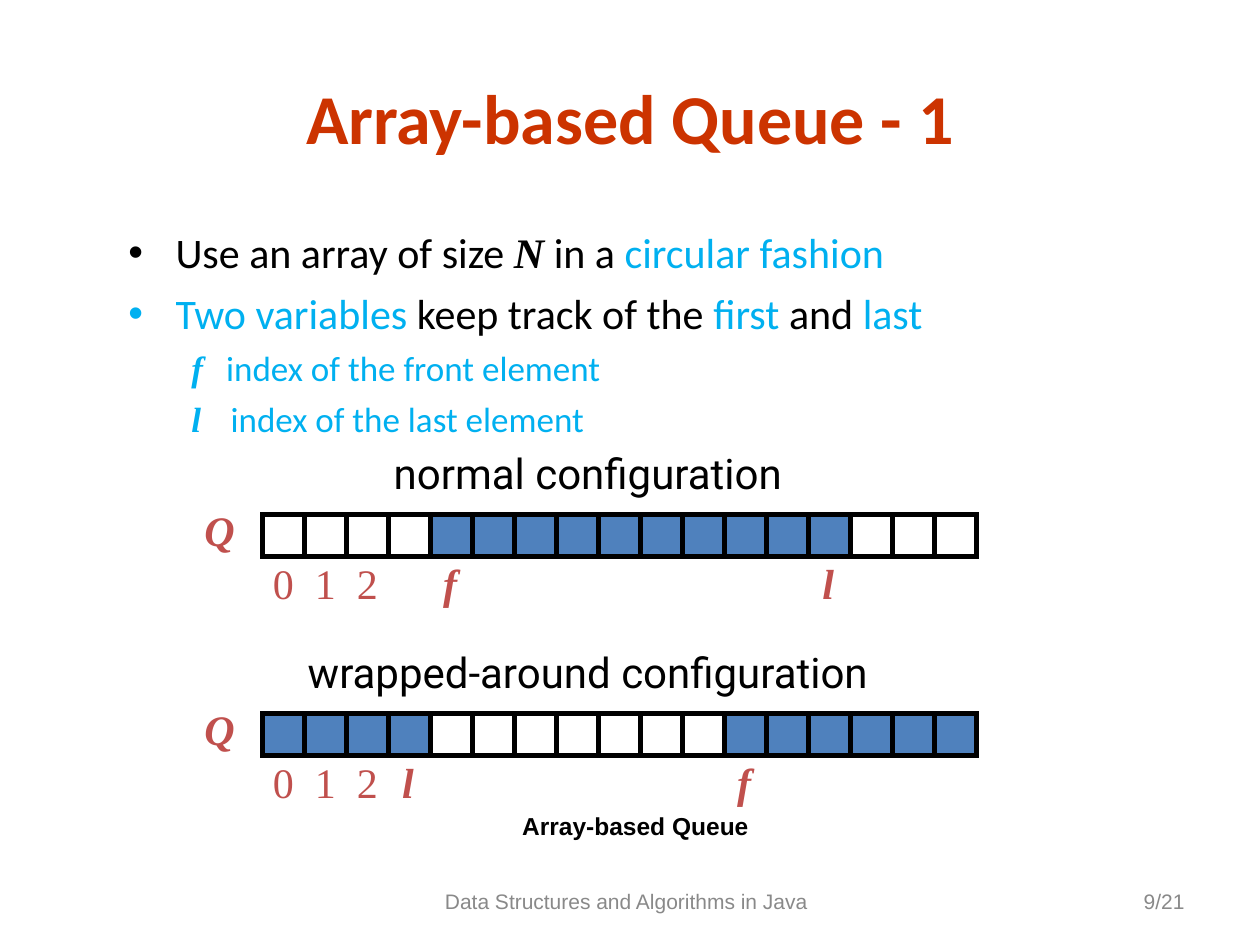
"""Builds the slide on the array-based queue."""
from pptx import Presentation
from pptx.dml.color import RGBColor
from pptx.enum.shapes import MSO_SHAPE
from pptx.enum.text import MSO_ANCHOR, PP_ALIGN
from pptx.oxml.ns import qn
from pptx.util import Cm, Pt
from lxml import etree

RECT = MSO_SHAPE.RECTANGLE
TOP, MIDDLE = MSO_ANCHOR.TOP, MSO_ANCHOR.MIDDLE
CENTER, RIGHT = PP_ALIGN.CENTER, PP_ALIGN.RIGHT

BLACK = RGBColor(0x00, 0x00, 0x00)
WHITE = RGBColor(0xFF, 0xFF, 0xFF)
GRAY = RGBColor(0x89, 0x89, 0x89)
ORANGE = RGBColor(0xCC, 0x33, 0x00)
CYAN = RGBColor(0x00, 0xB0, 0xF0)
RED = RGBColor(0xC0, 0x50, 0x4D)
BLUE = RGBColor(0x4F, 0x81, 0xBD)

SANS, SERIF, ARIAL, ROBOTO = "Calibri", "Times New Roman", "Arial", "Roboto"
COUNT = 17
CELL = 14.4 / COUNT
START = 5.29


class Deck:
    def __init__(self):
        self.file = Presentation()
        self.file.slide_width, self.file.slide_height = Cm(25.4), Cm(19.05)
        self.slide = self.file.slides.add_slide(self.file.slide_layouts[6])

    def frame(self, x, y, w, h, pad=True, anchor=TOP):
        box = self.slide.shapes.add_textbox(Cm(x), Cm(y), Cm(w), Cm(h))
        frame = box.text_frame
        frame.word_wrap = True
        frame.vertical_anchor = anchor
        if not pad:
            frame.margin_left = frame.margin_right = 0
            frame.margin_top = frame.margin_bottom = 0
        return frame

    def style(self, font, face, size, color, bold=False, italic=False):
        font.name, font.size = face, Pt(size)
        font.color.rgb = color
        font.bold, font.italic = bold, italic

    def text(self, area, words, face, size, color, bold=False, italic=False,
             align=CENTER, anchor=TOP, pad=True):
        para = self.frame(*area, pad, anchor).paragraphs[0]
        para.alignment = align
        para.add_run().text = words
        self.style(para.font, face, size, color, bold, italic)

    def item(self, para, parts, size, left, hang, space, bullet=False):
        props = para._p.get_or_add_pPr()
        props.set("marL", str(Cm(left)))
        props.set("indent", str(-Cm(hang)))
        para.space_before = Pt(space)
        if bullet:
            etree.SubElement(props, qn("a:buFont")).set("typeface", ARIAL)
            etree.SubElement(props, qn("a:buChar")).set("char", "•")
        para.font.size = Pt(size)
        for words, color, math in parts:
            run = para.add_run()
            run.text = words
            self.style(run.font, SERIF if math else SANS, size, color, math, math)

    def body(self, area, items):
        frame = self.frame(*area)
        for i, item in enumerate(items):
            para = frame.add_paragraph() if i else frame.paragraphs[0]
            self.item(para, *item)

    def cell(self, x, y, color):
        box = self.slide.shapes.add_shape(RECT, Cm(x), Cm(y), Cm(CELL), Cm(CELL))
        box.shadow.inherit = False
        box.fill.solid()
        box.fill.fore_color.rgb = color
        box.line.color.rgb = BLACK
        box.line.width = Pt(3)
        etree.SubElement(box.line._get_or_add_ln(), qn("a:miter")).set("lim", "800000")

    def queue(self, y, title, used, marks):
        self.text((5.45, y, 12.8, 1.27), title, ROBOTO, 24, BLACK)
        self.text((4.02, y + 1.28, 0.81, 1.02), "Q", SERIF, 24, RED, True, True, pad=False)
        for i in range(COUNT):
            self.cell(START + i * CELL, y + 1.48, BLUE if i in used else WHITE)
        for i, mark in marks.items():
            name = mark.isalpha()
            width = 0.79 if name else CELL
            self.text((START + i * CELL, y + 2.35, width, 1.02), mark, SERIF, 24, RED,
                      name, name, pad=False)


def main():
    deck = Deck()
    deck.text((7.97, 17.65, 9.32, 1.02), "Data Structures and Algorithms in Java",
              ARIAL, 12, GRAY, anchor=MIDDLE)
    deck.text((18.21, 17.65, 5.92, 1.02), "9/21", ARIAL, 12, GRAY,
              align=RIGHT, anchor=MIDDLE)
    deck.text((1.27, 1.37, 22.86, 1.96), "Array-based Queue - 1", SANS, 40, ORANGE,
              True, anchor=MIDDLE)
    deck.body((2.34, 4.45, 20.75, 5.28), [
        ([("Use an array of size ", BLACK, False), ("N", BLACK, True),
          (" in a ", BLACK, False), ("circular fashion", CYAN, False)],
         24, 0.95, 0.95, 0, True),
        ([("Two variables ", CYAN, False), ("keep track of the ", BLACK, False),
          ("first", CYAN, False), (" and ", BLACK, False), ("last", CYAN, False)],
         24, 0.95, 0.95, 6, True),
        ([("f\t", CYAN, True), ("index of the front element", CYAN, False)],
         20, 1.97, 0.7, 5),
        ([("l\t", CYAN, True), ("index of the last element", CYAN, False)],
         20, 2.06, 0.79, 5),
    ])
    digits = {0: "0", 1: "1", 2: "2"}
    deck.queue(8.89, "normal configuration", range(4, 14),
               {**digits, 4: "f", 13: "l"})
    deck.queue(12.91, "wrapped-around configuration", [*range(4), *range(11, COUNT)],
               {**digits, 3: "l", 11: "f"})
    deck.text((6.78, 16.23, 12.06, 0.86), "Array-based Queue", ARIAL, 14, BLACK, True)
    deck.file.save("out.pptx")


if __name__ == "__main__":
    main()
